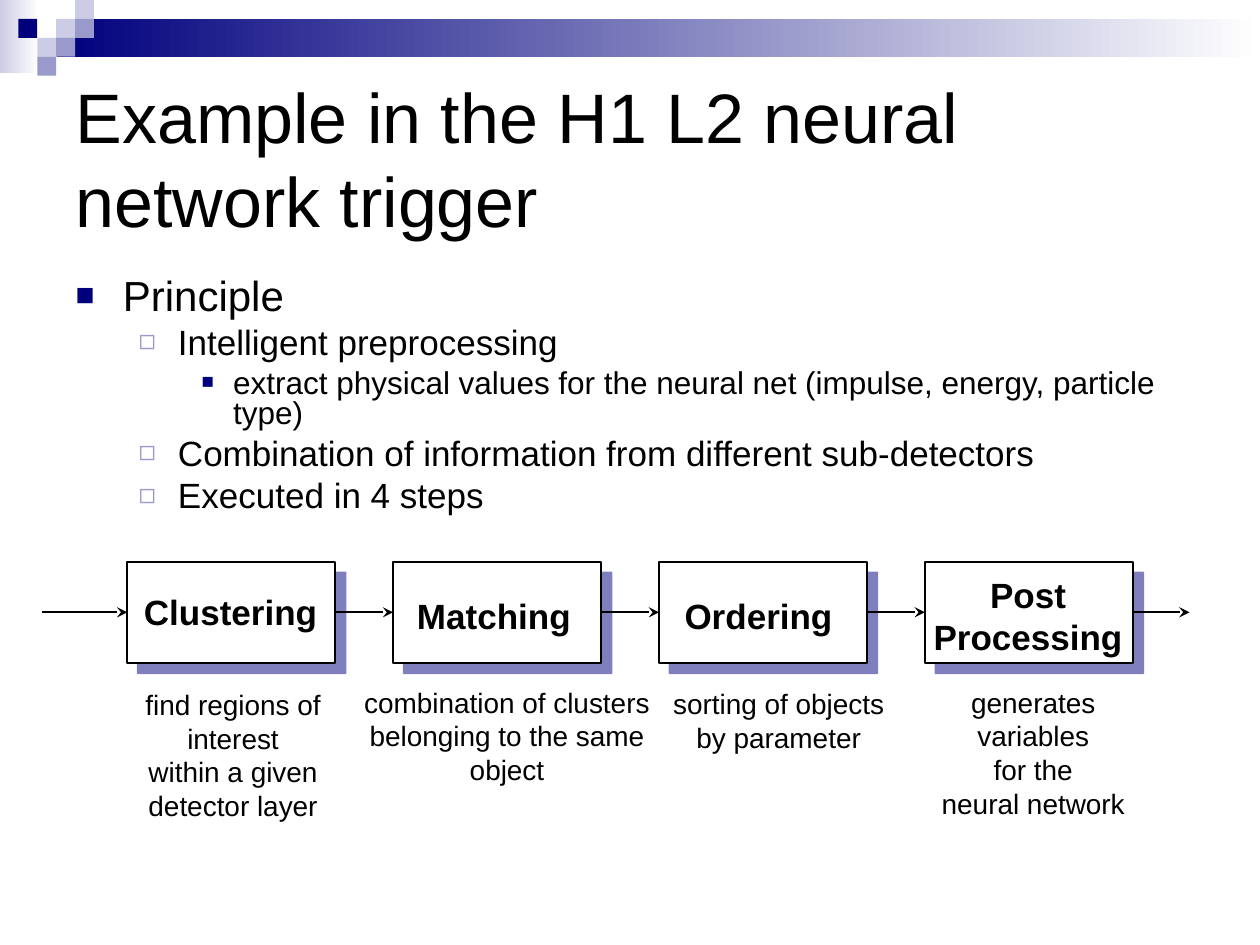
from lxml.etree import SubElement as Sub
from pptx import Presentation
from pptx.dml.color import RGBColor as Rgb
from pptx.enum.shapes import MSO_CONNECTOR as Line, MSO_SHAPE as Shape
from pptx.enum.text import MSO_ANCHOR as Anchor, MSO_AUTO_SIZE as Auto, PP_ALIGN as Align
from pptx.oxml.ns import qn
from pptx.util import Pt

HUE = {"navy": "00007D", "mid": "9999CC", "pale": "CCCCE6", "white": "FFFFFF", "black": "000000"}
FONT = "Arial"

LEVELS = [
    dict(left=27, hang=27, size=24, gap=6, mark="■", hue="navy", scale=75),
    dict(left=58.5, hang=22.5, size=20, gap=5, mark="◻", hue="mid", scale=80),
    dict(left=90, hang=18, size=18, gap=4.5, mark="■", hue="navy", scale=65),
]
ITEMS = [
    (0, "Principle"),
    (1, "Intelligent preprocessing"),
    (2, "extract physical values for the neural net (impulse, energy, particle type)"),
    (1, "Combination of information from different sub-detectors"),
    (1, "Executed in 4 steps"),
]
STEPS = [
    ("Clustering", (2.2, 13, 113.8, 31),
     "find regions of interest\nwithin a given detector layer", (-18.7, 68.4, 158.4, 84.2), True),
    ("Matching", (6.5, 15.1, 102.2, 31),
     "combination of clusters\nbelonging to the same\nobject", (-23.8, 67, 177.8, 64.8), False),
    ("Ordering", (7.2, 15.1, 99.4, 31),
     "sorting of objects\nby parameter", (0.7, 67.7, 135.4, 45.4), False),
    ("Post\nProcessing", (-2.2, 2.9, 122.4, 55.4),
     "generates\nvariables\nfor the\nneural network", (2.2, 67, 119.5, 84.2), False),
]


def color(name):
    """Return the named colour."""
    return Rgb.from_string(HUE[name])


def style(font, size, bold=False):
    """Set the font, size and weight in black."""
    font.name, font.size, font.bold = FONT, Pt(size), bold
    font.color.rgb = color("black")


def place(shape, box):
    """Move a shape to a box."""
    shape.left, shape.top, shape.width, shape.height = map(Pt, box)


def rect(slide, box, fill, fade=None):
    """Add a plain rectangle, fading to the right if asked."""
    shape = slide.shapes.add_shape(Shape.RECTANGLE, *map(Pt, box))
    shape.shadow.inherit = False
    shape.line.fill.background()
    if fade:
        shape.fill.gradient()
        shape.fill.gradient_angle = 0
        for stop, name in zip(shape.fill.gradient_stops, (fill, fade)):
            stop.color.rgb = color(name)
    else:
        shape.fill.solid()
        shape.fill.fore_color.rgb = color(fill)
    return shape


def banner(slide, left, top, unit):
    """Draw the fading bars and the mosaic of squares."""
    rect(slide, (left, top, 22.3, 41.8), "pale", "white")
    rect(slide, (left + 32.4, top + unit, 687.6, 21.6), "navy", "white")
    mosaic = [(3, 1, "pale"), (4, 0, "pale"), (4, 1, "mid"), (2, 2, "pale"),
              (1, 1, "navy"), (3, 2, "mid"), (2, 3, "mid")]
    for col, row, name in mosaic:
        rect(slide, (left + col * unit - 0.3, top + row * unit, unit, unit), name)


def title(slide, box, text):
    """Fill the title placeholder."""
    shape = slide.shapes.title
    place(shape, box)
    frame = shape.text_frame
    frame.text = text
    frame.auto_size, frame.vertical_anchor = Auto.NONE, Anchor.MIDDLE
    para = frame.paragraphs[0]
    para.alignment = Align.LEFT
    style(para.runs[0].font, 40)


def bullet(para, level):
    """Give a paragraph the indent and mark of its level."""
    look = LEVELS[level]
    para.level = level
    props = para._p.get_or_add_pPr()
    props.set("marL", str(Pt(look["left"])))
    props.set("indent", str(-Pt(look["hang"])))
    Sub(Sub(props, qn("a:buClr")), qn("a:srgbClr"), val=HUE[look["hue"]])
    Sub(props, qn("a:buSzPct"), val=str(look["scale"] * 1000))
    Sub(props, qn("a:buFont"), typeface=FONT)
    Sub(props, qn("a:buChar"), char=look["mark"])
    para.line_spacing = 0.8
    para.space_before = Pt(look["gap"])
    style(para.runs[0].font, look["size"])


def outline(slide, box, items):
    """Fill the body placeholder with the list."""
    shape = slide.placeholders[1]
    place(shape, box)
    frame = shape.text_frame
    frame.text = "\n".join(text for _, text in items)
    frame.auto_size = Auto.NONE
    for para, (level, _) in zip(frame.paragraphs, items):
        bullet(para, level)
    frame.paragraphs[0].space_before = Pt(0)


def label(slide, box, text, size, bold=False, wrap=False):
    """Add centred text."""
    frame = slide.shapes.add_textbox(*map(Pt, box)).text_frame
    frame.text = text
    frame.word_wrap, frame.auto_size = wrap, Auto.SHAPE_TO_FIT_TEXT
    for para in frame.paragraphs:
        para.alignment = Align.CENTER
        style(para.runs[0].font, size, bold)


def card(slide, box):
    """Add an outlined step box with a hard shadow."""
    shape = rect(slide, box, "white")
    shape.line.color.rgb, shape.line.width = color("black"), Pt(1)
    effects = shape._element.spPr.find(qn("a:effectLst"))
    shade = Sub(effects, qn("a:outerShdw"), blurRad="0", dist=str(Pt(8.5)),
                dir="2700000", algn="ctr", rotWithShape="0")
    tint = Sub(shade, qn("a:srgbClr"), val=HUE["navy"])
    Sub(tint, qn("a:alpha"), val="50000")
    return shape


def arrow(slide, start, end, y, source=None, target=None):
    """Draw an arrow, joined to the cards it touches."""
    link = slide.shapes.add_connector(Line.STRAIGHT, Pt(start), Pt(y), Pt(end), Pt(y))
    if source:
        link.begin_connect(source, 3)
    if target:
        link.end_connect(target, 1)
    link.line.color.rgb, link.line.width = color("black"), Pt(1)
    props = link._element.spPr
    Sub(props.find(qn("a:ln")), qn("a:tailEnd"), type="stealth")
    Sub(props, qn("a:effectLst"))


def flow(slide, box, steps):
    """Lay out the chain of steps, arrows and captions."""
    left, top, width, height = box
    wide, lead, tail = 118.8, 48.9, 32.4
    pitch = (width - lead - tail - wide) / (len(steps) - 1)
    spots = [left + lead + n * pitch for n in range(len(steps))]
    cards = [card(slide, (x, top, wide, height)) for x in spots]
    for x, (name, head, note, foot, wrap) in zip(spots, steps):
        label(slide, (x + head[0], top + head[1], *head[2:]), name, 20, bold=True)
        label(slide, (x + foot[0], top + foot[1], *foot[2:]), note, 16, wrap=wrap)
    mid = top + height / 2
    starts = [left] + [x + wide for x in spots]
    ends = spots + [left + width]
    for start, end, source, target in zip(starts, ends, [None] + cards, cards + [None]):
        arrow(slide, start, end, mid, source, target)


def main():
    """Build and save the slide."""
    deck = Presentation()
    deck.slide_width, deck.slide_height = Pt(720), Pt(540)
    slide = deck.slides.add_slide(deck.slide_layouts[1])
    banner(slide, 0, 0, 10.8)
    title(slide, (36, 36, 648, 108), "Example in the H1 L2 neural network trigger")
    outline(slide, (36, 156.2, 648, 142.6), ITEMS)
    flow(slide, (23.8, 321.1, 655.9, 57.6), STEPS)
    deck.save("out.pptx")


if __name__ == "__main__":
    main()
